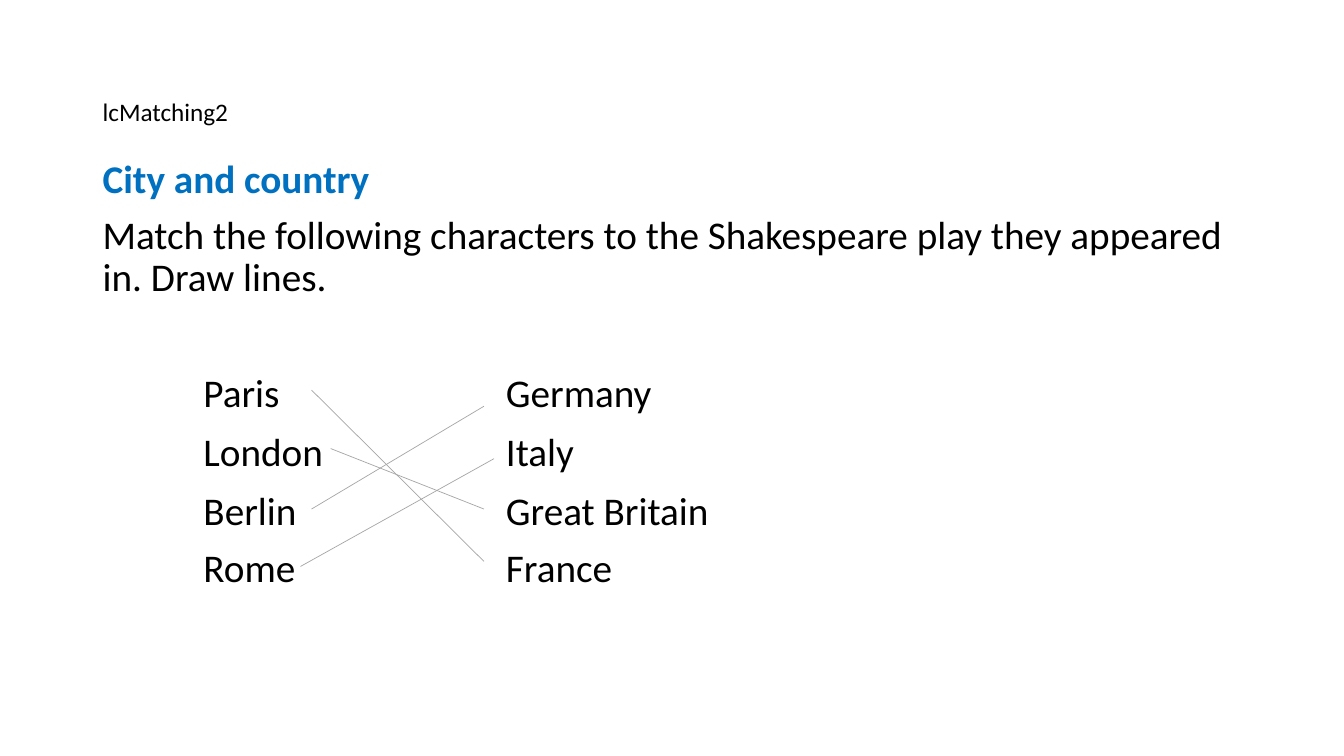
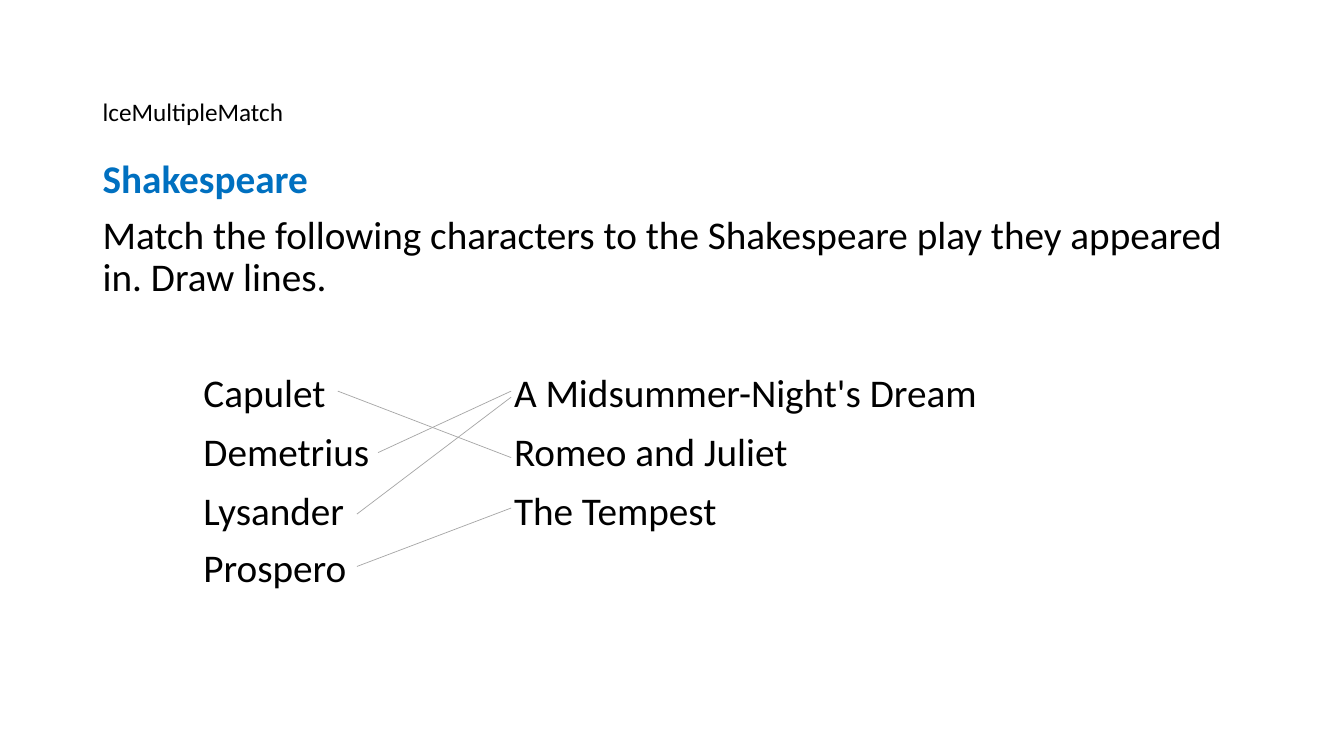
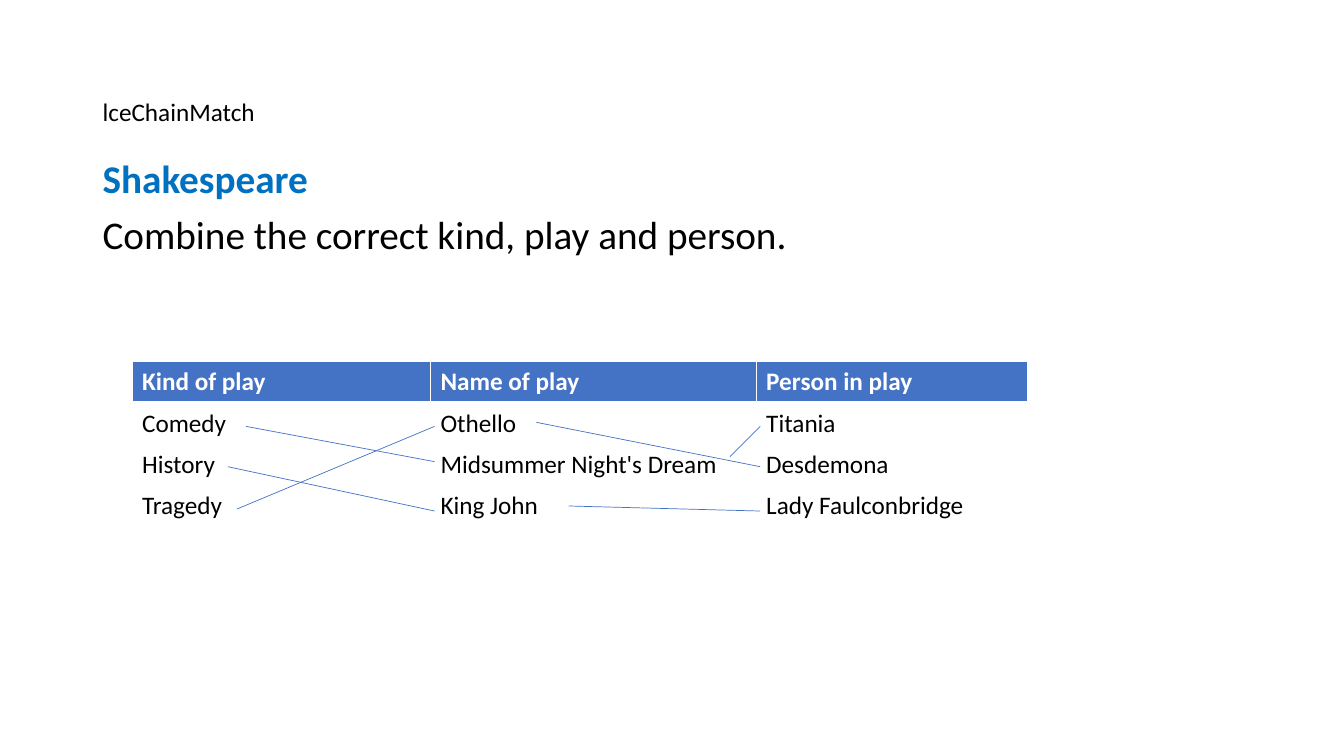
import pptx
import pptx.util
import pptx.dml.color
import pptx.enum.shapes
import pptx.enum.text
from lxml import etree
from pptx.oxml.ns import qn

PX = 9144  # 100 px to the inch
FONT = "Calibri"
BLACK, WHITE, BLUE, GRAY, ACCENT = "000000", "FFFFFF", "0070C0", "A6A6A6", "4472C4"
LEFT, WIDE = 92, 1150
ROW = 41
COLS = [296, 323, 269]
MATCH = ("Match the following characters to the Shakespeare play "
         "they appeared in. Draw lines.")

# Each list is (left edge, words); each line is (x1, y1, x2, y2).
SLIDES = [
    dict(name="lcMatching2", head="City and country", task=MATCH,
         lists=[(192, ["Paris", "London", "Berlin", "Rome"]),
                (492, ["Germany", "Italy", "Great Britain", "France"])],
         color=GRAY,
         lines=[(309, 387, 480, 557), (328, 445, 480, 505),
                (309, 505, 480, 403), (298, 562, 490, 455)]),
    dict(name="lceMultipleMatch", head="Shakespeare", task=MATCH,
         lists=[(192, ["Capulet", "Demetrius", "Lysander", "Prospero"]),
                (500, ["A Midsummer-Night's Dream", "Romeo and Juliet", "The Tempest"])],
         color=GRAY,
         lines=[(335, 388, 507, 454), (375, 449, 507, 388),
                (354, 510, 507, 394), (354, 562, 507, 504)]),
    dict(name="lceChainMatch", head="Shakespeare",
         task="Combine the correct kind, play and person.",
         table=[("Kind of play", "Name of play", "Person in play"),
                ("Comedy", "Othello", "Titania"),
                ("History", "Midsummer Night's Dream", "Desdemona"),
                ("Tragedy", "King John", "Lady Faulconbridge")],
         color=ACCENT,
         lines=[(244, 423, 431, 458), (724, 453, 754, 423), (226, 463, 431, 507),
                (564, 502, 754, 507), (235, 505, 431, 423), (532, 419, 754, 463)]),
]


def px(n):
    return pptx.util.Emu(n * PX)


def rgb(code):
    return pptx.dml.color.RGBColor.from_string(code)


def write(para, text, size=28, color=BLACK, bold=False, before=0, line=None):
    run = para.add_run()
    run.text = text
    run.font.name, run.font.size, run.font.bold = FONT, pptx.util.Pt(size), bold
    run.font.color.rgb = rgb(color)
    para.space_before = pptx.util.Pt(before)
    if line:
        para.line_spacing = line


def block(slide, x, y, w, h, items, middle=False):
    """Add a text box; items are (text, format) pairs, one per paragraph."""
    frame = slide.shapes.add_textbox(px(x), px(y), px(w), px(h)).text_frame
    frame.word_wrap = True
    anchor = pptx.enum.text.MSO_ANCHOR
    frame.vertical_anchor = anchor.MIDDLE if middle else anchor.TOP
    for i, (text, form) in enumerate(items):
        para = frame.add_paragraph() if i else frame.paragraphs[0]
        write(para, text, line=0.9, **form)


def link(slide, x1, y1, x2, y2, color):
    line = slide.shapes.add_connector(
        pptx.enum.shapes.MSO_CONNECTOR.STRAIGHT, px(x1), px(y1), px(x2), px(y2))
    line.line.color.rgb = rgb(color)
    line.line.width = pptx.util.Pt(0.5)
    etree.SubElement(line._element.spPr, qn("a:effectLst"))


def edge(cell, sides):
    """Draw white borders; sides are (tag, points) in schema order."""
    props = cell._tc.get_or_add_tcPr()
    for i, (tag, width) in enumerate(sides):
        ln = etree.Element(qn("a:" + tag), w=str(pptx.util.Pt(width)))
        fill = etree.SubElement(ln, qn("a:solidFill"))
        etree.SubElement(fill, qn("a:srgbClr"), val=WHITE)
        props.insert(i, ln)


def grid(slide, rows):
    table = slide.shapes.add_table(
        len(rows), len(COLS), px(131), px(359), px(sum(COLS)), px(ROW * len(rows))).table
    table.horz_banding = False
    for col, width in zip(table.columns, COLS):
        col.width = px(width)
    for r, row in enumerate(rows):
        table.rows[r].height = px(ROW)
        for c, text in enumerate(row):
            cell, top = table.cell(r, c), r == 0
            write(cell.text_frame.paragraphs[0], text, size=18,
                  color=WHITE if top else BLACK, bold=top)
            if top:
                cell.fill.solid()
                cell.fill.fore_color.rgb = rgb(ACCENT)
            else:
                cell.fill.background()
            edge(cell, [("lnL", 1), ("lnR", 1), ("lnT", 1 if r != 1 else 3),
                        ("lnB", 3 if top else 1)])


def build(deck, data):
    slide = deck.slides.add_slide(deck.slide_layouts[6])
    block(slide, LEFT, 40, WIDE, 145, [(data["name"], dict(size=18))], middle=True)
    block(slide, LEFT, 153, WIDE, 160,
          [(data["head"], dict(color=BLUE, bold=True, before=6)),
           (data["task"], dict(before=10))])
    for x, words in data.get("lists", []):
        block(slide, x, 366, 500, 250,
              [(word, dict(before=10 if i == 3 else 12)) for i, word in enumerate(words)])
    if "table" in data:
        grid(slide, data["table"])
    for ends in data["lines"]:
        link(slide, *ends, data["color"])


def main():
    deck = pptx.Presentation()
    deck.slide_width, deck.slide_height = px(1333), px(750)
    for data in SLIDES:
        build(deck, data)
    deck.save("out.pptx")


if __name__ == "__main__":
    main()
